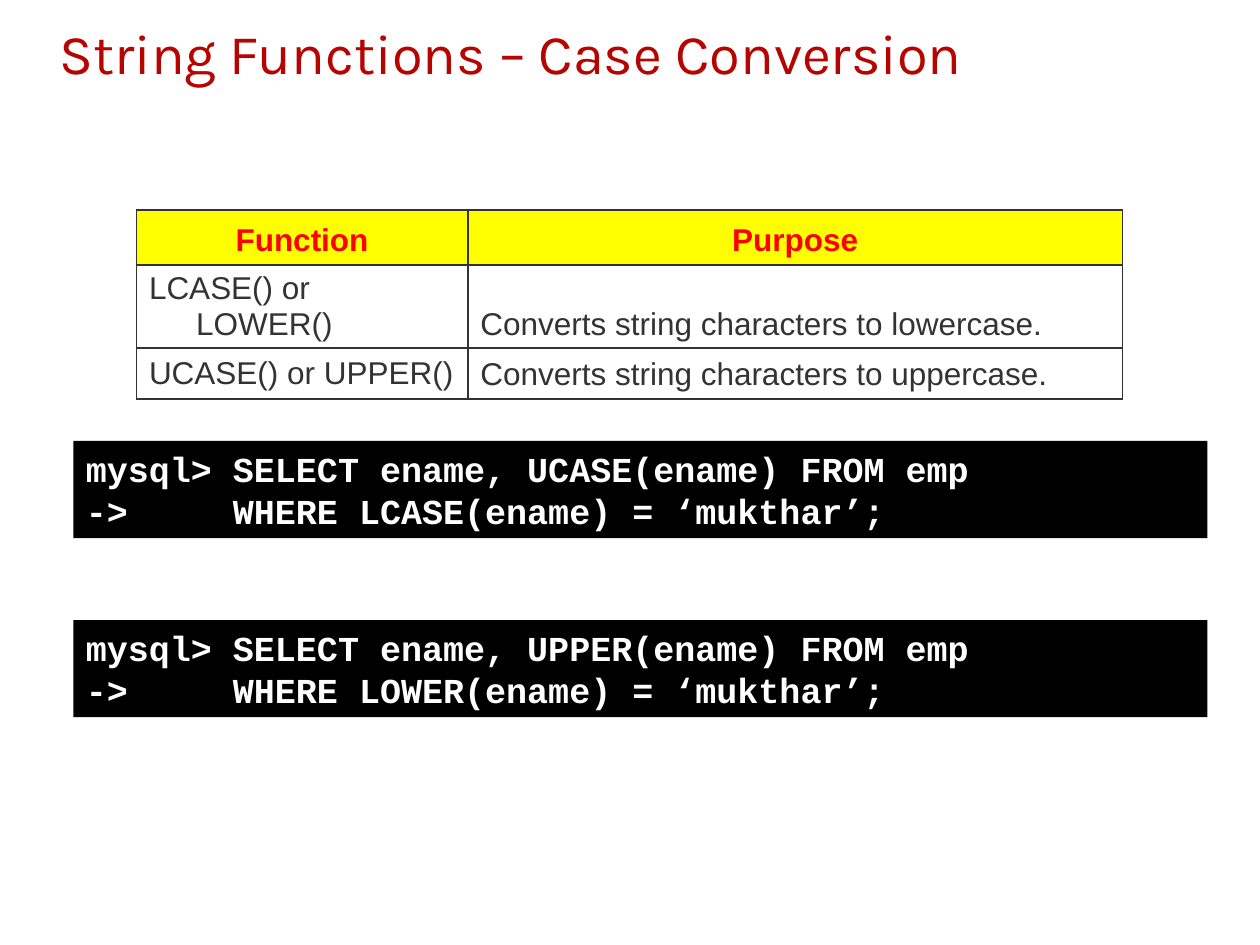
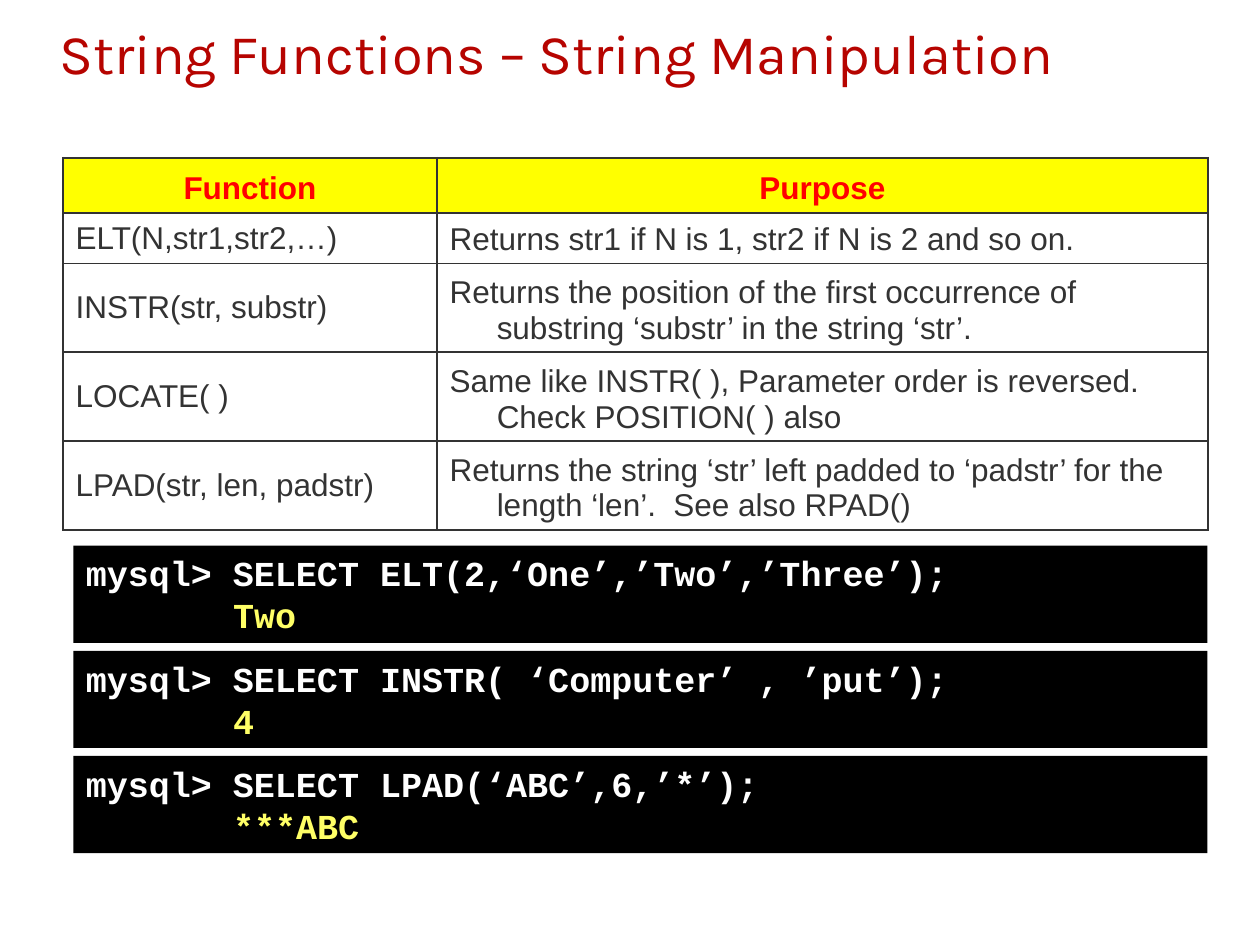
from pptx import Presentation
from pptx.dml.color import RGBColor
from pptx.enum.shapes import MSO_SHAPE as Shape
from pptx.enum.text import MSO_ANCHOR as Anchor, MSO_AUTO_SIZE as AutoSize, PP_ALIGN as Align
from pptx.oxml import parse_xml
from pptx.oxml.ns import nsdecls
from pptx.util import Cm, Pt

TITLE_ONLY = 5
HANGING = Cm(0.95)
HEADER_HEIGHT, ONE_LINE, TWO_LINES = 1.11, 1.02, 1.79
RESULT_INDENT = " " * len("mysql> ")


def color(hex_code):
    return RGBColor.from_string(hex_code)


def add_text(paragraph, text, font, size, fill, bold=False, align=Align.LEFT):
    """Append one formatted run to a paragraph."""
    paragraph.alignment = align
    run = paragraph.add_run()
    run.text = text
    run.font.name = font
    run.font.size = Pt(size)
    run.font.bold = bold
    run.font.color.rgb = color(fill)


class Deck:
    TITLE = dict(font="Karla", size=32, fill="B60400")
    HEADER = dict(font="Arial", size=18, fill="FF0000", bold=True, align=Align.CENTER)
    BODY = dict(font="Arial", size=18, fill="333333")
    CODE = dict(font="Courier New", size=20, fill="FFFFFF", bold=True)
    RESULT = CODE | dict(fill="FFFF66")
    HEADER_FILL, BORDER, CONSOLE_FILL = "FFFF00", "333333", "000000"

    def __init__(self):
        self.presentation = Presentation()
        self.presentation.slide_width = Cm(25.4)
        self.presentation.slide_height = Cm(19.05)
        self.slide = None

    def add_slide(self, title):
        layout = self.presentation.slide_layouts[TITLE_ONLY]
        self.slide = self.presentation.slides.add_slide(layout)
        shape = self.slide.shapes.title
        shape.left, shape.top, shape.width, shape.height = Cm(0.94), Cm(0), Cm(23.5), Cm(2.1)
        frame = shape.text_frame
        frame.auto_size = AutoSize.NONE
        frame.vertical_anchor = Anchor.MIDDLE
        add_text(frame.paragraphs[0], title, **self.TITLE)

    def add_borders(self, cell):
        properties = cell._tc.get_or_add_tcPr()
        for side in ("lnL", "lnR", "lnT", "lnB"):
            properties.append(parse_xml(
                f'<a:{side} {nsdecls("a")} w="{Pt(1.08)}"><a:solidFill>'
                f'<a:srgbClr val="{self.BORDER}"/></a:solidFill></a:{side}>'))

    def add_function_table(self, left, top, widths, heights, functions):
        rows = [("Function", "Purpose"), *functions]
        table = self.slide.shapes.add_table(
            len(rows), len(widths), Cm(left), Cm(top), Cm(sum(widths)), Cm(sum(heights))).table
        table.first_row = table.horz_banding = False
        for column, width in zip(table.columns, widths):
            column.width = Cm(width)
        for row_index, (row, height) in enumerate(zip(table.rows, heights)):
            row.height = Cm(height)
            is_header = row_index == 0
            for column_index, cell in enumerate(row.cells):
                self.add_borders(cell)
                if is_header:
                    cell.fill.solid()
                    cell.fill.fore_color.rgb = color(self.HEADER_FILL)
                else:
                    cell.fill.background()
                is_name = column_index == 0 and not is_header
                cell.vertical_anchor = Anchor.MIDDLE if is_name else Anchor.BOTTOM
                paragraph = cell.text_frame.paragraphs[0]
                properties = paragraph._p.get_or_add_pPr()
                properties.set("marL", str(HANGING))
                properties.set("indent", str(-HANGING))
                add_text(paragraph, rows[row_index][column_index],
                         **(self.HEADER if is_header else self.BODY))

    def add_console(self, top, *lines):
        """Draw a console; each line is a list of (text, style) runs."""
        shape = self.slide.shapes.add_shape(
            Shape.RECTANGLE, Cm(1.48), Cm(top), Cm(22.86), Cm(1.96))
        shape.shadow.inherit = False
        shape.fill.solid()
        shape.fill.fore_color.rgb = color(self.CONSOLE_FILL)
        shape.line.fill.background()
        frame = shape.text_frame
        frame.word_wrap = True
        frame.auto_size = AutoSize.SHAPE_TO_FIT_TEXT
        frame.vertical_anchor = Anchor.TOP
        for index, line in enumerate(lines):
            paragraph = frame.add_paragraph() if index else frame.paragraphs[0]
            for text, style in line:
                add_text(paragraph, text, **style)


def add_case_conversion(deck):
    deck.add_slide("String Functions – Case Conversion")
    deck.add_function_table(
        2.75, 4.23, (6.68, 13.2), (HEADER_HEIGHT, ONE_LINE, ONE_LINE),
        [("LCASE() or LOWER()", "Converts string characters to lowercase."),
         ("UCASE() or UPPER()", "Converts string characters to uppercase.")])
    # Two equivalent queries
    for top, upper, lower in ((8.89, "UCASE", "LCASE"), (12.5, "UPPER", "LOWER")):
        deck.add_console(
            top,
            [(f"mysql> SELECT ename, {upper}(ename) FROM emp", deck.CODE)],
            [(f"->     WHERE {lower}(ename) = ‘mukthar’;", deck.CODE)])


def add_string_manipulation(deck):
    deck.add_slide("String Functions – String Manipulation")
    deck.add_function_table(
        1.27, 3.18, (7.54, 15.54), (HEADER_HEIGHT, ONE_LINE, *[TWO_LINES] * 3),
        [("ELT(N,str1,str2,…)", "Returns str1 if N is 1, str2 if N is 2 and so on."),
         ("INSTR(str, substr)",
          "Returns the position of the first occurrence of substring ‘substr’ in the string ‘str’."),
         ("LOCATE( )", "Same like INSTR( ), Parameter order is reversed. Check POSITION( ) also"),
         ("LPAD(str, len, padstr)",
          "Returns the string ‘str’ left padded to ‘padstr’ for the length ‘len’.  See also RPAD()")])
    # Queries with their results
    examples = [("ELT(2,‘One’,’Two’,’Three’)", "Two"),
                ("INSTR( ‘Computer’ , ’put’)", "4"),
                ("LPAD(‘ABC’,6,’*’)", "***ABC")]
    for index, (call, result) in enumerate(examples):
        deck.add_console(
            11 + 2.12 * index,
            [(f"mysql> SELECT {call};", deck.CODE)],
            [(RESULT_INDENT, deck.CODE), (result, deck.RESULT)])


def main():
    deck = Deck()
    add_case_conversion(deck)
    add_string_manipulation(deck)
    deck.presentation.save("out.pptx")


if __name__ == "__main__":
    main()
